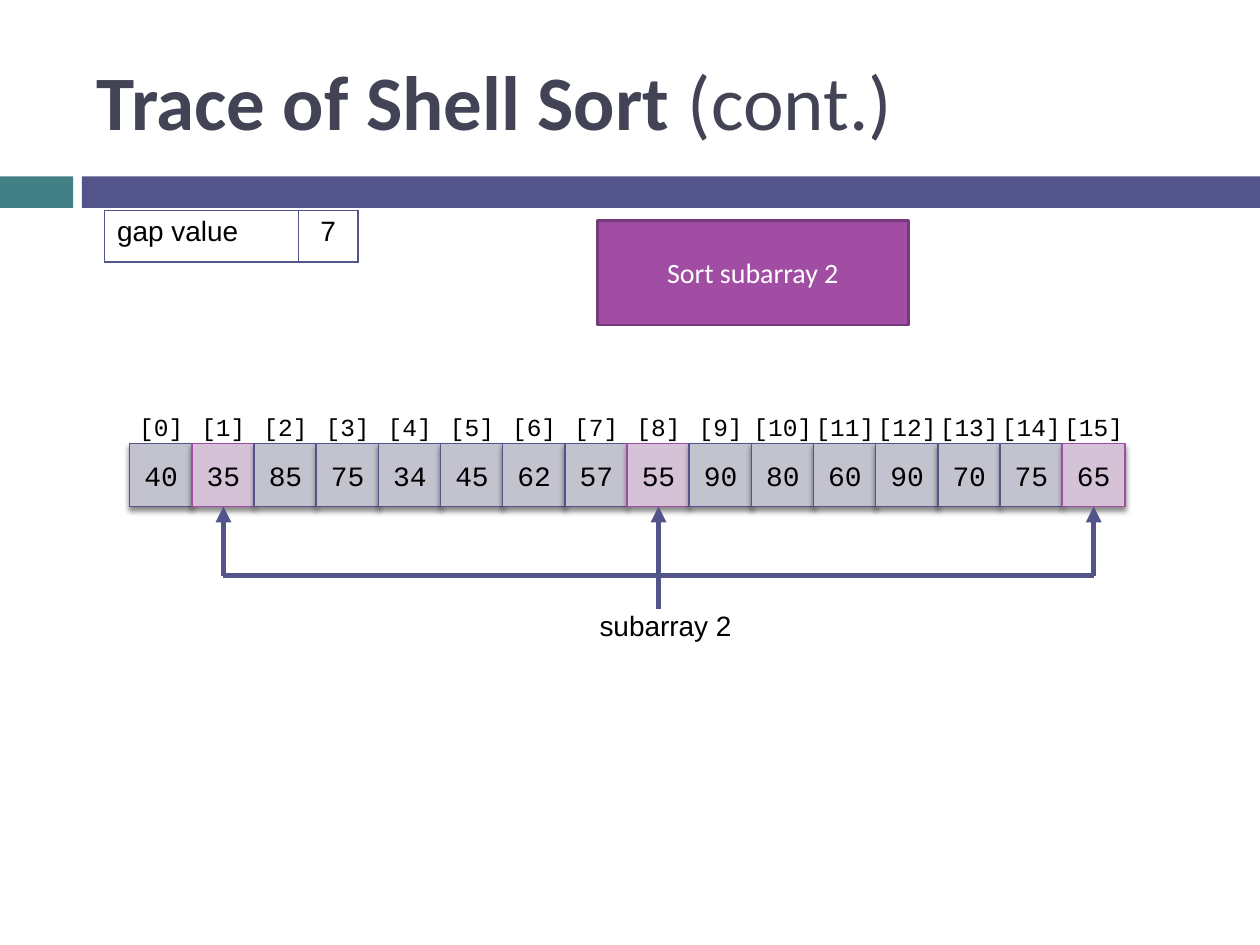
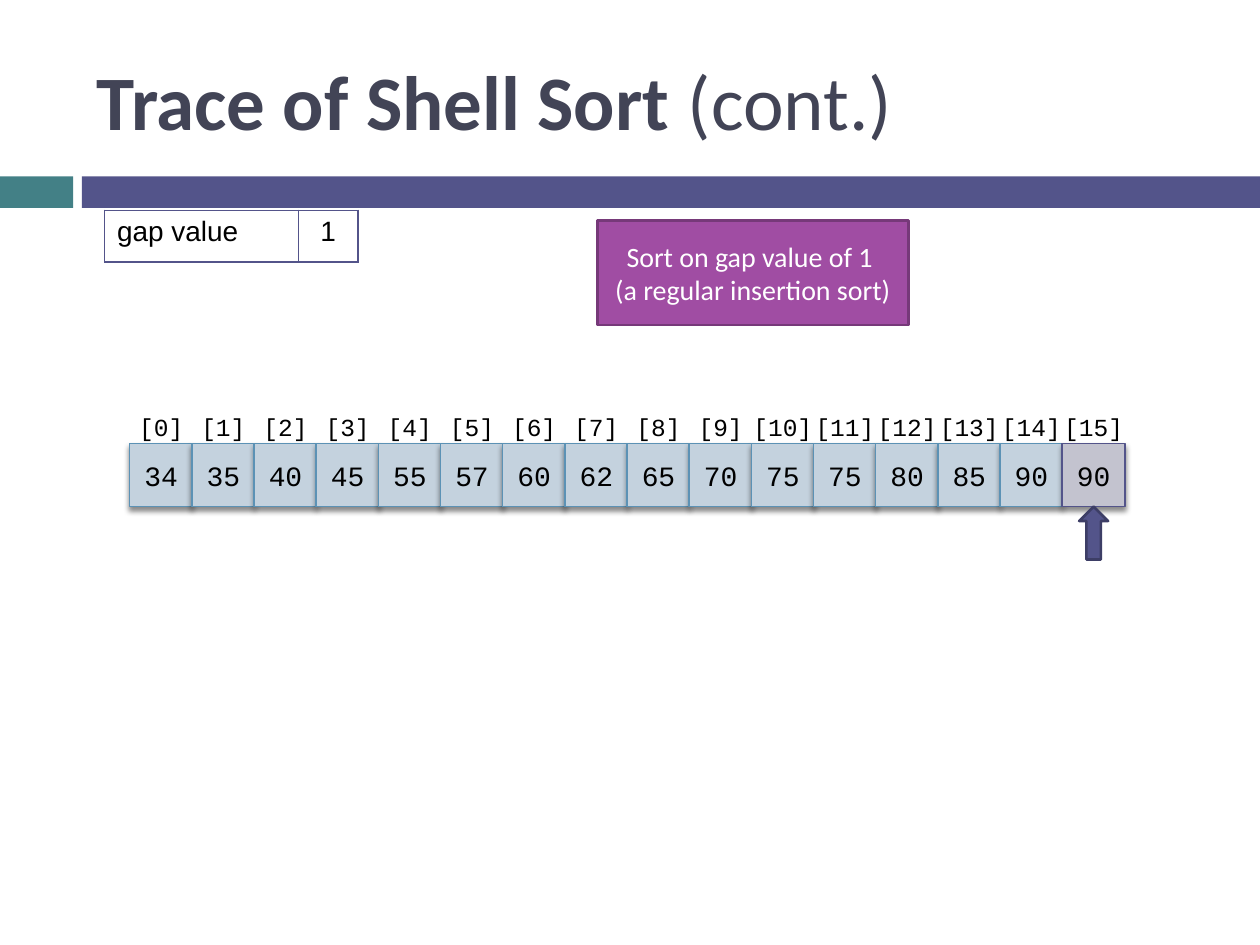
"""Build two slides that trace Shell sort on a sixteen-element array."""
from dataclasses import dataclass

from lxml import etree
from pptx import Presentation
from pptx.dml.color import RGBColor
from pptx.enum import shapes, text
from pptx.oxml import parse_xml
from pptx.oxml.ns import nsdecls, qn
from pptx.util import Inches, Pt

INDIGO = RGBColor(0x53, 0x54, 0x8A)
DARK_INDIGO = RGBColor(0x3D, 0x3E, 0x66)
TEAL = RGBColor(0x43, 0x80, 0x86)
PURPLE = RGBColor(0xA0, 0x4D, 0xA3)
DARK_PURPLE = RGBColor(0x76, 0x39, 0x79)
BLUE = RGBColor(0x5C, 0x92, 0xB5)
PALE_INDIGO = RGBColor(0xC3, 0xC3, 0xCF)
PALE_PURPLE = RGBColor(0xD6, 0xC2, 0xD7)
PALE_BLUE = RGBColor(0xC4, 0xD2, 0xDE)
SLATE = RGBColor(0x42, 0x44, 0x56)
BLACK = RGBColor(0, 0, 0)
WHITE = RGBColor(0xFF, 0xFF, 0xFF)

SANS, BODY, MONO = "Arial", "Calibri", "Courier New"
RECT = shapes.MSO_SHAPE.RECTANGLE
LEFT, CENTER = text.PP_ALIGN.LEFT, text.PP_ALIGN.CENTER
MIDDLE = text.MSO_ANCHOR.MIDDLE

CELL_LEFT, CELL_TOP, CELL_SIZE = Inches(1.03), Inches(3.52), Inches(0.5)
LAST_CELL_LEFT = Inches(8.43)
LABEL_TOP, LABEL_HEIGHT = Inches(3.22), Inches(0.34)
BRACKET_Y = Inches(4.57)


@dataclass(frozen=True)
class Box:
    """Position and size of a shape."""

    left: int
    top: int
    width: int
    height: int


@dataclass(frozen=True)
class CellStyle:
    """Fill and outline of an array cell."""

    fill: RGBColor
    line: RGBColor


@dataclass(frozen=True)
class Step:
    """One step of the sort: its gap, caption and array state."""

    gap: int
    caption: str
    values: tuple[int, ...]
    marked: tuple[int, ...]
    plain_style: CellStyle
    marked_style: CellStyle


INDIGO_CELL = CellStyle(PALE_INDIGO, INDIGO)
PURPLE_CELL = CellStyle(PALE_PURPLE, PURPLE)
BLUE_CELL = CellStyle(PALE_BLUE, BLUE)

SUBARRAY_STEP = Step(
    7, "Sort subarray 2",
    (40, 35, 85, 75, 34, 45, 62, 57, 55, 90, 80, 60, 90, 70, 75, 65),
    tuple(range(1, 16, 7)), INDIGO_CELL, PURPLE_CELL,
)
INSERTION_STEP = Step(
    1, "Sort on gap value of 1 \n(a regular insertion sort)",
    (34, 35, 40, 45, 55, 57, 60, 62, 65, 70, 75, 75, 80, 85, 90, 90),
    (15,), BLUE_CELL, INDIGO_CELL,
)


def write(tf, content: str, size: int, font: str, color: RGBColor = BLACK, align=CENTER) -> None:
    """Fill a text frame with one formatted paragraph."""
    p = tf.paragraphs[0]
    p.text = content
    p.alignment = align
    for r in p.runs:
        r.font.size, r.font.name = Pt(size), font
        r.font.color.rgb = color


def add_box(slide, box: Box, fill: RGBColor, line: RGBColor | None = None,
            weight: float = 1.5, kind=RECT):
    """Add a filled shape without a shadow."""
    sp = slide.shapes.add_shape(kind, box.left, box.top, box.width, box.height)
    sp.shadow.inherit = False
    sp.fill.solid()
    sp.fill.fore_color.rgb = fill
    if line is None:
        sp.line.fill.background()
    else:
        sp.line.color.rgb = line
        sp.line.width = Pt(weight)
    sp.text_frame.vertical_anchor = MIDDLE
    return sp


def add_text(slide, box: Box):
    """Add a wrapping text box and return its text frame."""
    tf = slide.shapes.add_textbox(box.left, box.top, box.width, box.height).text_frame
    tf.word_wrap = True
    return tf


def add_shadow(sp) -> None:
    """Give a shape a soft shadow that falls straight down."""
    effects = sp._element.spPr.find(qn("a:effectLst"))
    effects.append(parse_xml(
        f'<a:outerShdw {nsdecls("a")} blurRad="{Pt(3)}" dist="{Pt(2.4)}" dir="5400000" '
        'rotWithShape="0"><a:srgbClr val="000000"><a:alpha val="45000"/></a:srgbClr></a:outerShdw>'
    ))


def add_line(slide, x1: int, y1: int, x2: int, y2: int, cell=None) -> None:
    """Add a thick line, with an arrowhead at a cell's bottom if one is given."""
    cxn = slide.shapes.add_connector(shapes.MSO_CONNECTOR.STRAIGHT, x1, y1, x2, y2)
    cxn.line.color.rgb = INDIGO
    cxn.line.width = Pt(3)
    if cell is not None:
        cxn.begin_connect(cell, 2)
        etree.SubElement(cxn.line._get_or_add_ln(), qn("a:headEnd"), type="triangle")
    etree.SubElement(cxn._element.spPr, qn("a:effectLst"))


def add_frame(slide) -> None:
    """Draw the bands and the title that every slide shares."""
    top, height = Inches(1.4), Inches(0.25)
    add_box(slide, Box(0, top, Inches(0.58), height), TEAL)
    add_box(slide, Box(Inches(0.65), top, Inches(9.35), height), INDIGO)
    tf = add_text(slide, Box(Inches(0.67), Inches(0.25), Inches(8.92), Inches(1.08)))
    tf.vertical_anchor = MIDDLE
    for part, bold in (("Trace of Shell Sort ", True), ("(cont.)", False)):
        r = tf.paragraphs[0].add_run()
        r.text = part
        r.font.size, r.font.name, r.font.bold = Pt(44), BODY, bold
        r.font.color.rgb = SLATE


def add_gap_table(slide, gap: int) -> None:
    """Add the one-row table that shows the gap value."""
    widths, height = (Inches(1.54), Inches(0.47)), Inches(0.41)
    table = slide.shapes.add_table(1, 2, Inches(0.83), Inches(1.67), sum(widths), height).table
    table.first_row = table.horz_banding = False
    for i, (content, align) in enumerate((("gap value", LEFT), (str(gap), CENTER))):
        table.columns[i].width = widths[i]
        cell = table.cell(0, i)
        cell.fill.background()
        write(cell.text_frame, content, 16, SANS, align=align)
        tc_pr = cell._tc.get_or_add_tcPr()
        for k, side in enumerate(("lnL", "lnR", "lnT", "lnB")):
            tc_pr.insert(k, parse_xml(
                f'<a:{side} {nsdecls("a")} w="{Pt(1)}"><a:solidFill>'
                f'<a:srgbClr val="{INDIGO}"/></a:solidFill></a:{side}>'
            ))


def add_array(slide, step: Step) -> list:
    """Draw the array cells under their indices and return the cells."""
    pitch = (LAST_CELL_LEFT - CELL_LEFT) / (len(step.values) - 1)
    cells = []
    for i, value in enumerate(step.values):
        left = round(CELL_LEFT + i * pitch)
        style = step.marked_style if i in step.marked else step.plain_style
        sp = add_box(slide, Box(left, CELL_TOP, CELL_SIZE, CELL_SIZE), style.fill, style.line, 0.79)
        add_shadow(sp)
        write(sp.text_frame, str(value), 16, MONO)
        cells.append(sp)
        width = Inches(0.6 if i < 10 else 0.8)
        label = Box(left + (CELL_SIZE - width) // 2, LABEL_TOP, width, LABEL_HEIGHT)
        write(add_text(slide, label), f"[{i}]", 14, MONO)
    return cells


def add_step(prs, step: Step):
    """Add a slide for one step and return it with its marked cells."""
    slide = prs.slides.add_slide(prs.slide_layouts[6])
    add_frame(slide)
    cells = add_array(slide, step)
    add_gap_table(slide, step.gap)
    caption = Box(Inches(4.74), Inches(1.75), Inches(2.47), Inches(0.83))
    sp = add_box(slide, caption, PURPLE, DARK_PURPLE)
    write(sp.text_frame, step.caption, 16, BODY, WHITE)
    return slide, [cells[i] for i in step.marked]


def add_subarray_bracket(slide, members: list) -> None:
    """Join the members of a subarray with arrows and name it."""
    centers = [cell.left + cell.width // 2 for cell in members]
    ends = (BRACKET_Y, Inches(4.83), BRACKET_Y)
    for cell, x, end in zip(members, centers, ends):
        add_line(slide, x, cell.top + cell.height, x, end, cell)
    add_line(slide, centers[0], BRACKET_Y, centers[-1], BRACKET_Y)
    name = Box(Inches(4.66), Inches(4.78), Inches(1.31), Inches(0.37))
    write(add_text(slide, name), "subarray 2", 16, SANS, align=LEFT)


def add_pointer(slide, cell) -> None:
    """Point at a cell from below with a block arrow."""
    width = Inches(0.23)
    box = Box(cell.left + (cell.width - width) // 2, cell.top + cell.height, width, Inches(0.42))
    add_box(slide, box, INDIGO, DARK_INDIGO, kind=shapes.MSO_SHAPE.UP_ARROW)


def main() -> None:
    """Build and save the presentation."""
    prs = Presentation()
    prs.slide_width, prs.slide_height = Inches(10), Inches(7.5)
    slide, members = add_step(prs, SUBARRAY_STEP)
    add_subarray_bracket(slide, members)
    slide, (last,) = add_step(prs, INSERTION_STEP)
    add_pointer(slide, last)
    prs.save("out.pptx")


if __name__ == "__main__":
    main()
